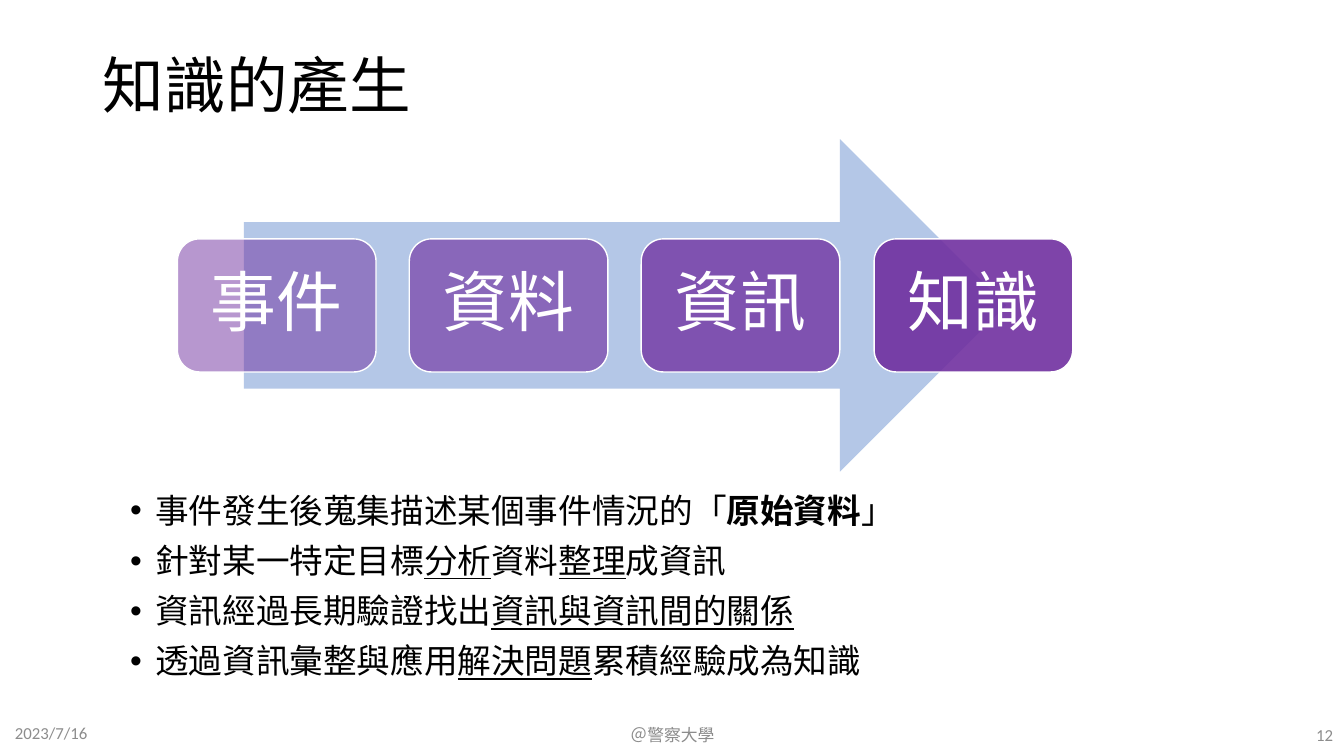
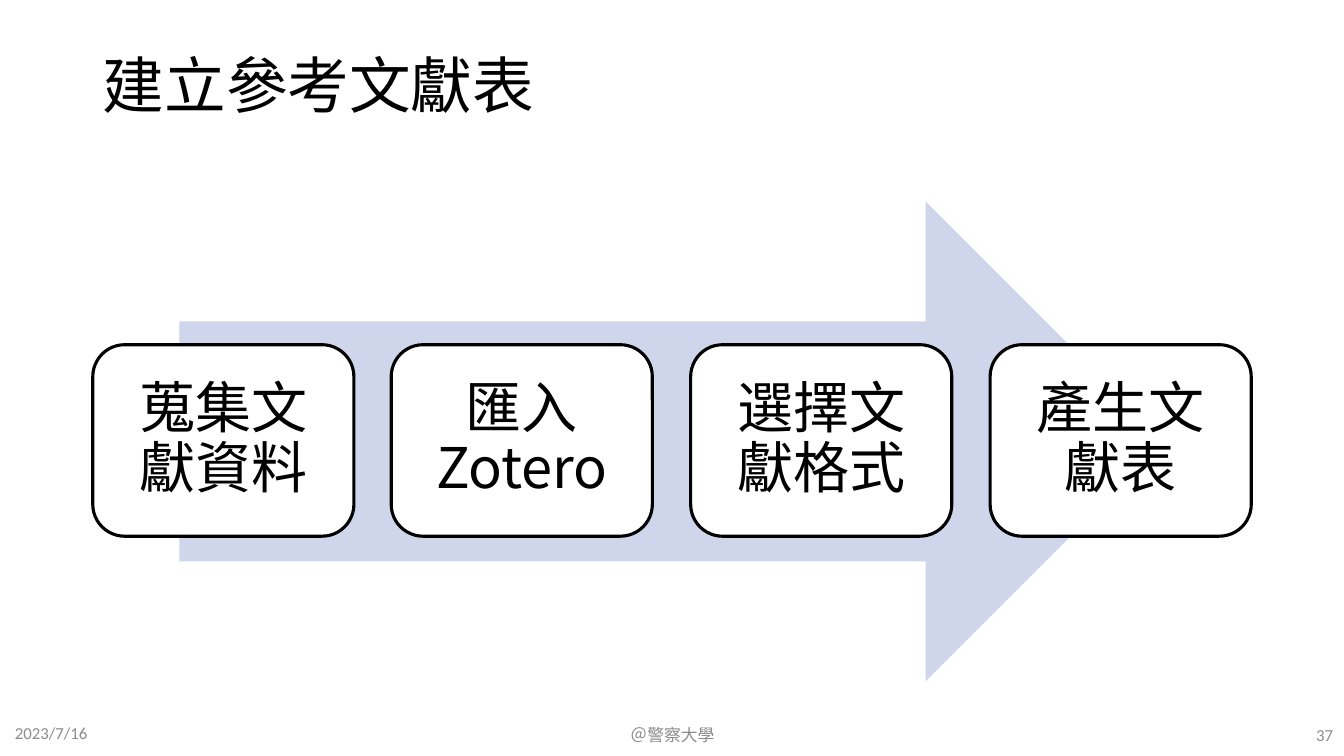
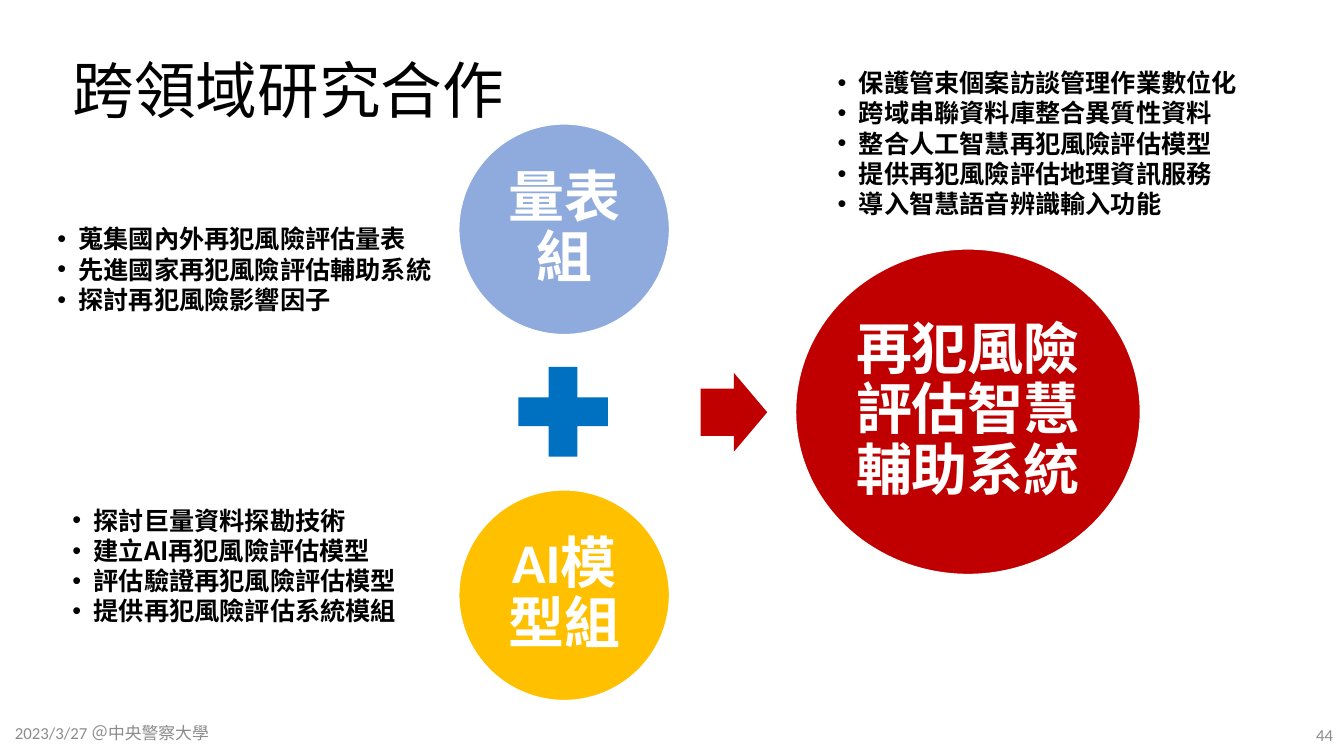
"""Build three slides on knowledge, reference lists and cross-field research."""
from dataclasses import dataclass

from lxml import etree
from pptx import Presentation
from pptx import util as u
from pptx.dml.color import RGBColor
from pptx.enum import shapes, text
from pptx.oxml.ns import qn

PX = 9144


@dataclass(frozen=True)
class Theme:
    black: str = "000000"
    white: str = "FFFFFF"
    grey: str = "8C8C8C"
    purple: str = "7030A0"
    light_blue: str = "B4C7E7"
    pale_blue: str = "CFD5EA"
    mid_blue: str = "8FAADC"
    blue: str = "0070C0"
    amber: str = "FFC000"
    red: str = "C00000"
    latin: str = "Calibri"
    tc: str = "Noto Sans CJK TC"
    sc: str = "Noto Sans CJK SC"
    title: int = 44
    step: int = 47
    label: int = 40
    body: int = 24
    note: int = 18
    footer: int = 12


T = Theme()
MSO = shapes.MSO_SHAPE
MIDDLE = text.MSO_ANCHOR.MIDDLE
LEFT, CENTER, RIGHT = text.PP_ALIGN.LEFT, text.PP_ALIGN.CENTER, text.PP_ALIGN.RIGHT


def add_run(p, words, size, color, font, bold=False, underline=False):
    r = p.add_run()
    r.text = words
    r.font.size = u.Pt(size)
    r.font.color.rgb = RGBColor.from_string(color)
    r.font.bold = bold
    r.font.underline = underline
    r.font.name = font
    etree.SubElement(r.font._element, qn("a:ea"), typeface=font)


def add_shape(s, kind, at, fill, line=None, width=1, label=None, inset=0):
    sp = s.shapes.add_shape(kind, *[v * PX for v in at])
    sp.shadow.inherit = False
    sp.fill.solid()
    sp.fill.fore_color.rgb = RGBColor.from_string(fill)
    if line:
        sp.line.color.rgb = RGBColor.from_string(line)
        sp.line.width = u.Pt(width)
    else:
        sp.line.fill.background()
    if label:
        tf = sp.text_frame
        tf.word_wrap = True
        tf.vertical_anchor = MIDDLE
        tf.margin_left = tf.margin_right = tf.margin_top = tf.margin_bottom = inset * PX
        p = tf.paragraphs[0]
        p.alignment = CENTER
        p.line_spacing = 0.9
        add_run(p, *label)
    return sp


prs = Presentation()
prs.slide_width, prs.slide_height = 1333 * PX, 750 * PX

pages = [
    (1, "知識的產生", (92, 15), "2023/7/16", "＠警察大學", "12"),
    (5, "建立參考文獻表", (92, 15), "2023/7/16", "＠警察大學", "37"),
    (5, "跨領域研究合作", (62, 20), "2023/3/27 ＠中央警察大學", "", "44"),
]
for layout, title, (x, y), date, footer, number in pages:
    s = prs.slides.add_slide(prs.slide_layouts[layout])
    sp = s.shapes.title
    sp.left, sp.top, sp.width, sp.height = x * PX, y * PX, 1150 * PX, 145 * PX
    tf = sp.text_frame
    tf.auto_size = text.MSO_AUTO_SIZE.NONE
    tf.vertical_anchor = MIDDLE
    p = tf.paragraphs[0]
    p.alignment = LEFT
    p.line_spacing = 0.9
    add_run(p, title, T.title, T.black, T.tc)
    for words, left, top, width, align in [
        (date, 5, 707, 300, LEFT),
        (footer, 442, 709, 450, CENTER),
        (number, 1032, 709, 300, RIGHT),
    ]:
        if words:
            tf = s.shapes.add_textbox(left * PX, top * PX, width * PX, 40 * PX).text_frame
            tf.word_wrap = True
            tf.vertical_anchor = MIDDLE
            tf.paragraphs[0].alignment = align
            add_run(tf.paragraphs[0], words, T.footer, T.grey, T.latin)

knowledge, references, research = prs.slides

add_shape(knowledge, MSO.RIGHT_ARROW, (242, 138, 756, 330), T.light_blue)
for i, step in enumerate(["事件", "資料", "資訊", "知識"]):
    sp = add_shape(knowledge, MSO.ROUNDED_RECTANGLE, (176 + i * 691 // 3, 237, 197, 132),
                   T.purple, T.white, 1, (step, T.step, T.white, T.latin), 20)
    color = sp._element.spPr.find(qn("a:solidFill"))[0]
    etree.SubElement(color, qn("a:alpha"), val=str(round(50 + i * 40 / 3) * 1000))

add_shape(references, MSO.RIGHT_ARROW, (178, 200, 978, 476), T.pale_blue)
for i, step in enumerate(["蒐集文獻資料", "匯入Zotero", "選擇文獻格式", "產生文獻表"]):
    add_shape(references, MSO.ROUNDED_RECTANGLE, (92 + i * 890 // 3, 342, 259, 190),
              T.white, T.black, 2.25, (step, T.label, T.black, T.tc), 17)

for words, at, fill, font in [
    ("量表組", (455, 123, 209, 209), T.mid_blue, T.latin),
    ("AI模型組", (455, 486, 209, 209), T.amber, T.latin),
    ("再犯風險評估智慧輔助系統", (789, 247, 342, 323), T.red, T.sc),
]:
    add_shape(research, MSO.OVAL, at, fill, T.white, 1,
              (words, T.label, T.white, font, True), 6)
add_shape(research, MSO.MATH_PLUS, (498, 348, 121, 121), T.blue)
arrow = add_shape(research, MSO.RIGHT_ARROW, (695, 370, 66, 78), T.red)
arrow.adjustments[0] = 0.6

body = knowledge.placeholders[1]
body.left, body.top, body.width, body.height = 119 * PX, 416 * PX, 1150 * PX, 334 * PX
body.text_frame.auto_size = text.MSO_AUTO_SIZE.NONE
body.text_frame.vertical_anchor = MIDDLE
lines = [
    [("事件發生後蒐集描述某個事件情況的「", ""), ("原始資料", "b"), ("」", "")],
    [("針對某一特定目標", ""), ("分析", "u"), ("資料", ""), ("整理", "u"), ("成資訊", "")],
    [("資訊經過長期驗證找出", ""), ("資訊與資訊間的關係", "u")],
    [("透過資訊彙整與應用", ""), ("解決問題", "u"), ("累積經驗成為知識", "")],
]
lists = [(body, 25, 0.9, 10, T.body, T.tc, lines)]
for at, font, items in [
    ((47, 217, 405, 101), T.sc,
     ["蒐集國內外再犯風險評估量表", "先進國家再犯風險評估輔助系統", "探討再犯風險影響因子"]),
    ((62, 496, 345, 131), T.sc,
     ["探討巨量資料探勘技術", "建立AI再犯風險評估模型", "評估驗證再犯風險評估模型",
      "提供再犯風險評估系統模組"]),
    ((821, 62, 420, 162), T.latin,
     ["保護管束個案訪談管理作業數位化", "跨域串聯資料庫整合異質性資料",
      "整合人工智慧再犯風險評估模型", "提供再犯風險評估地理資訊服務", "導入智慧語音辨識輸入功能"]),
]:
    sp = research.shapes.add_textbox(*[v * PX for v in at])
    lists.append((sp, 21, 1.0, 0, T.note, font, [[(item, "b")] for item in items]))

for sp, indent, spacing, before, size, font, items in lists:
    tf = sp.text_frame
    tf.word_wrap = True
    for i, runs in enumerate(items):
        p = tf.add_paragraph() if i else tf.paragraphs[0]
        pPr = p._p.get_or_add_pPr()
        pPr.set("marL", str(indent * PX))
        pPr.set("indent", str(-indent * PX))
        etree.SubElement(pPr, qn("a:buFont"), typeface="Arial")
        etree.SubElement(pPr, qn("a:buChar"), char="•")
        p.line_spacing = spacing
        p.space_before = u.Pt(before if i else 0)
        for words, style in runs:
            add_run(p, words, size, T.black, font, style == "b", style == "u")

prs.save("out.pptx")
